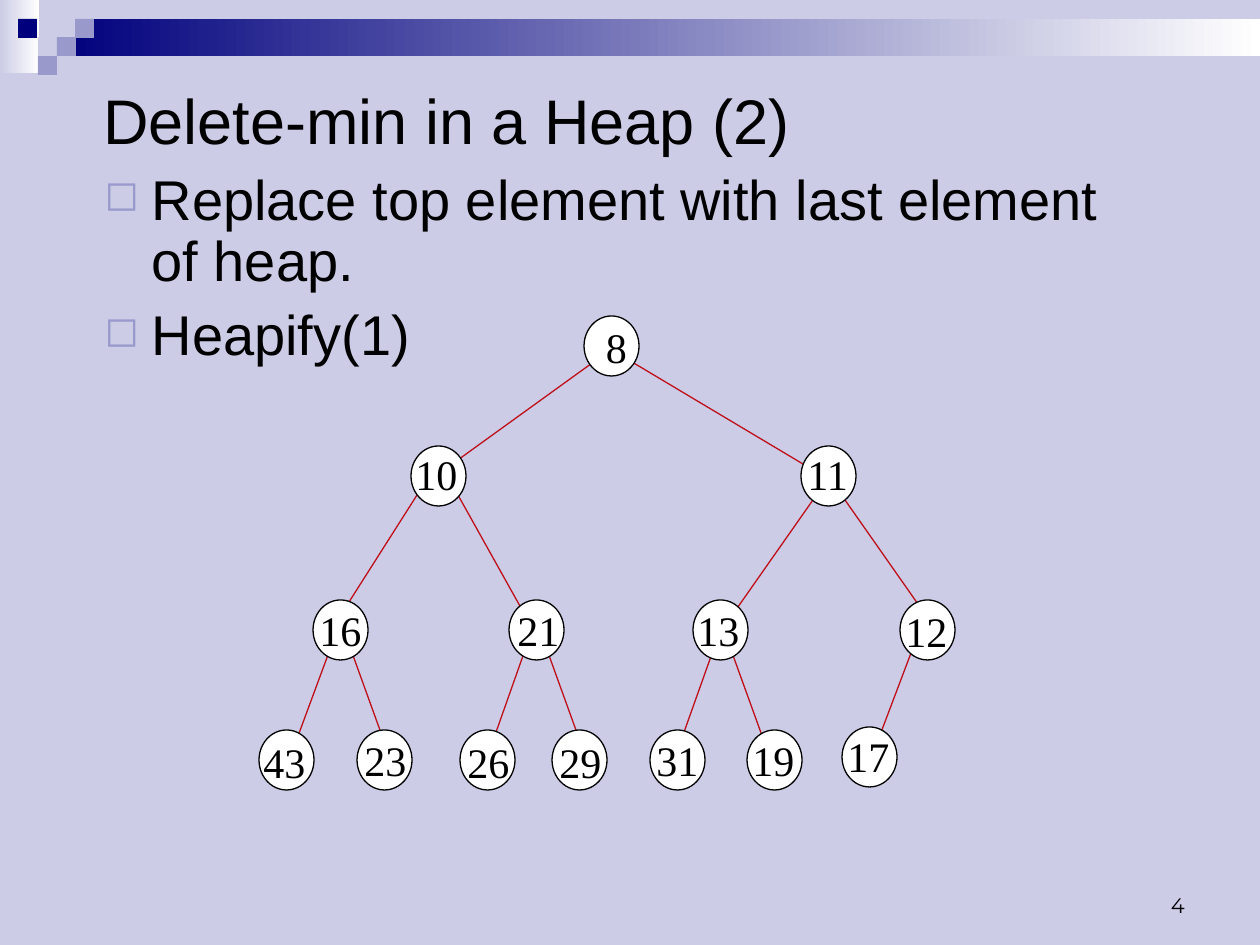
from typing import NamedTuple, Optional

from lxml import etree
from pptx import Presentation
from pptx.dml.color import RGBColor
from pptx.enum import shapes, text
from pptx.oxml import ns
from pptx.util import Emu, Pt

SCALE = 914400 / 126  # EMU in one px

PALE = RGBColor(0xCC, 0xCC, 0xE6)
LILAC = RGBColor(0x99, 0x99, 0xCC)
NAVY = RGBColor(0x00, 0x00, 0x7D)
RED = RGBColor(0xBF, 0x0F, 0x18)
WHITE = RGBColor(0xFF, 0xFF, 0xFF)
BLACK = RGBColor(0x00, 0x00, 0x00)


class Box(NamedTuple):
    left: int
    top: int
    width: int
    height: int


class Block(NamedTuple):
    box: Box
    fill: RGBColor
    fade: bool = False  # runs from white on the right to the fill


class Link(NamedTuple):
    x1: int
    y1: int
    x2: int
    y2: int


class Node(NamedTuple):
    label: str
    left: int
    top: int
    text_x: int
    text_y: int
    link: Optional[Link] = None  # edge from the parent


TILE = 19
BLOCKS = [
    Block(Box(0, 0, 39, 73), PALE, True),
    Block(Box(57, 19, 1203, 37), NAVY, True),
    Block(Box(57, 19, TILE, TILE), PALE),
    Block(Box(75, 0, TILE, TILE), PALE),
    Block(Box(75, 19, TILE, TILE), LILAC),
    Block(Box(38, 37, TILE, TILE), PALE),
    Block(Box(18, 19, TILE, TILE), NAVY),
    Block(Box(57, 37, TILE, TILE), LILAC),
    Block(Box(38, 56, TILE, TILE), LILAC),
]

NODES = [
    Node(" 8", 584, 316, 583, 315),
    Node("10", 411, 446, 403, 442, Link(606, 353, 444, 470)),
    Node("11", 801, 446, 795, 442, Link(617, 353, 813, 470)),
    Node("16", 313, 600, 307, 598, Link(433, 470, 335, 624)),
    Node("21", 509, 600, 505, 598, Link(444, 470, 530, 624)),
    Node("13", 693, 600, 685, 598, Link(834, 470, 726, 624)),
    Node("12", 900, 600, 893, 599, Link(824, 470, 932, 624)),
    Node("43", 259, 730, 251, 730, Link(335, 636, 291, 755)),
    Node("23", 357, 730, 352, 728, Link(346, 636, 389, 755)),
    Node("26", 460, 730, 455, 730, Link(530, 636, 488, 755)),
    Node("29", 552, 730, 547, 730, Link(542, 636, 585, 755)),
    Node("31", 650, 730, 644, 728, Link(714, 648, 672, 766)),
    Node("19", 747, 730, 740, 728, Link(726, 636, 769, 755)),
    Node("17", 842, 727, 835, 724, Link(919, 632, 874, 751)),
]


def px(*nums: int) -> list[Emu]:
    return [Emu(round(n * SCALE)) for n in nums]


def draw_shape(slide, kind, box: Box, fill: RGBColor, fade: bool = False):
    shape = slide.shapes.add_shape(kind, *px(*box))
    shape.shadow.inherit = False
    shape.line.fill.background()
    if fade:
        shape.fill.gradient()
        shape.fill.gradient_angle = 180
        for stop, color in zip(shape.fill.gradient_stops, (WHITE, fill)):
            stop.color.rgb = color
    else:
        shape.fill.solid()
        shape.fill.fore_color.rgb = fill
    return shape


def draw_link(slide, link: Link) -> None:
    line = slide.shapes.add_connector(shapes.MSO_CONNECTOR.STRAIGHT, *px(*link))
    line.line.color.rgb = RED
    line.line.width = Pt(0.75)
    etree.SubElement(line._element.spPr, ns.qn("a:effectLst"))


def add_bullet(para) -> None:
    para.line_spacing = 0.9
    para.space_before = Pt(8)
    props = para._p.get_or_add_pPr()
    props.set("marL", "342900")
    props.set("indent", "-342900")
    color = etree.SubElement(props, ns.qn("a:buClr"))
    etree.SubElement(color, ns.qn("a:srgbClr"), val=str(LILAC))
    etree.SubElement(props, ns.qn("a:buSzPct"), val="75000")
    etree.SubElement(props, ns.qn("a:buChar"), char="◻")


def draw_text(slide, box: Box, lines: list[str], size: int, face: str = "Arial",
              wrap: bool = True, bullet: bool = False,
              anchor=text.MSO_ANCHOR.TOP, align=text.PP_ALIGN.LEFT) -> None:
    frame = slide.shapes.add_textbox(*px(*box)).text_frame
    frame.word_wrap = wrap
    if not wrap:
        frame.auto_size = text.MSO_AUTO_SIZE.SHAPE_TO_FIT_TEXT
    frame.vertical_anchor = anchor
    frame.text = "\n".join(lines)
    for para in frame.paragraphs:
        para.alignment = align
        if bullet:
            add_bullet(para)
        para.font.size = Pt(size)
        para.font.name = face
        para.font.color.rgb = BLACK


def draw_node(slide, node: Node) -> None:
    box = Box(node.left, node.top, 55, 60)
    oval = draw_shape(slide, shapes.MSO_SHAPE.OVAL, box, WHITE)
    oval.line.color.rgb = BLACK
    oval.line.width = Pt(0.75)
    wide = 57 if node.link is None else 67
    draw_text(slide, Box(node.text_x, node.text_y, wide, 63), [node.label],
              24, "Times New Roman", wrap=False)


def main() -> None:
    deck = Presentation()
    deck.slide_width, deck.slide_height = px(1260, 945)
    slide = deck.slides.add_slide(deck.slide_layouts[6])
    slide.background.fill.solid()
    slide.background.fill.fore_color.rgb = PALE

    # Top band
    for block in BLOCKS:
        draw_shape(slide, shapes.MSO_SHAPE.RECTANGLE, *block)

    # Title and points
    draw_text(slide, Box(91, 76, 1071, 86), ["Delete-min in a Heap (2)"], 36,
              anchor=text.MSO_ANCHOR.MIDDLE)
    draw_text(slide, Box(92, 166, 1071, 215),
              ["Replace top element with last element of heap.", "Heapify(1)"],
              32, bullet=True)

    # Heap: edges lie behind the nodes
    for node in NODES:
        if node.link:
            draw_link(slide, node.link)
    for node in NODES:
        draw_node(slide, node)

    # Page number
    draw_text(slide, Box(903, 861, 294, 63), ["4"], 12, "Montserrat",
              anchor=text.MSO_ANCHOR.BOTTOM, align=text.PP_ALIGN.RIGHT)

    deck.save("out.pptx")


if __name__ == "__main__":
    main()
